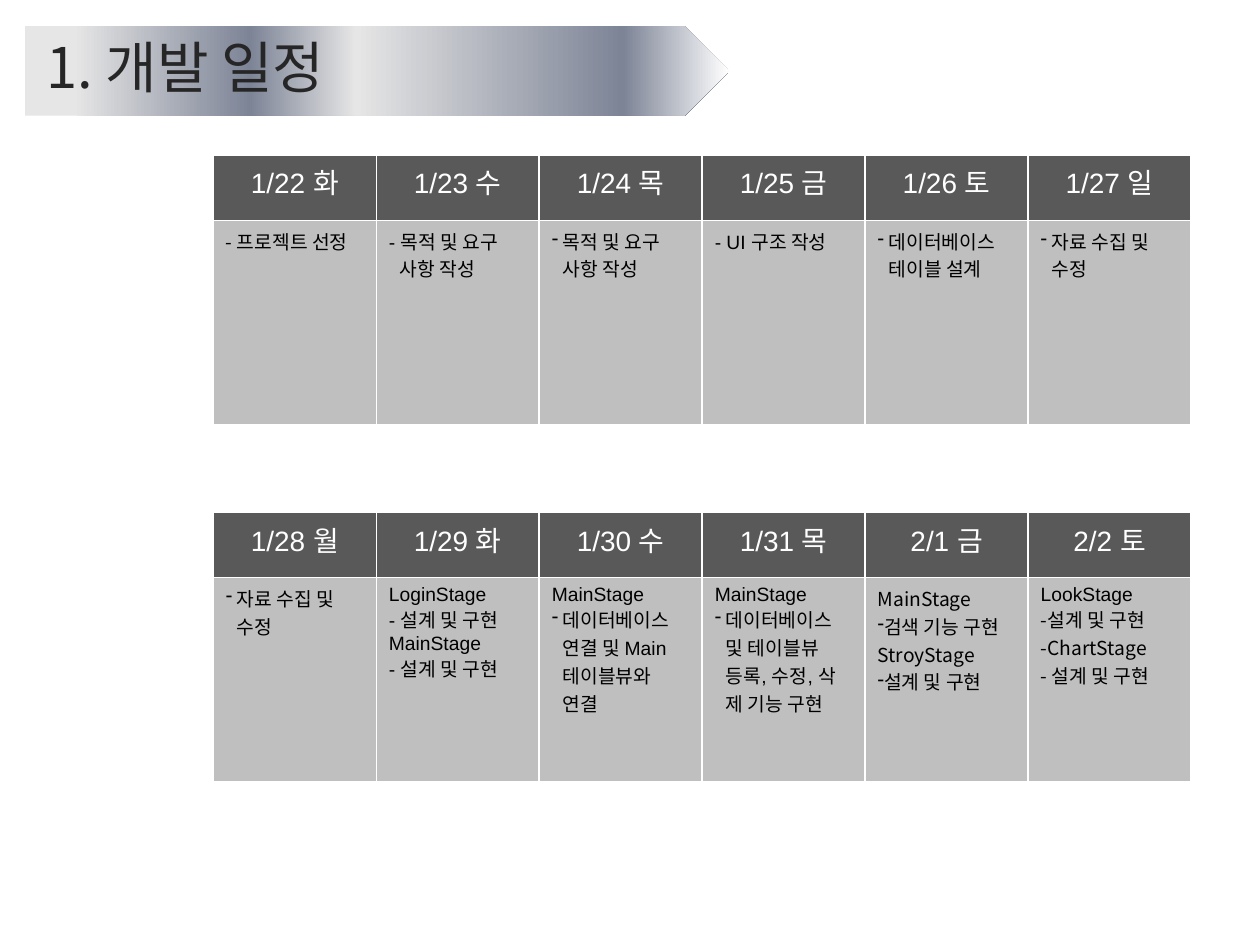
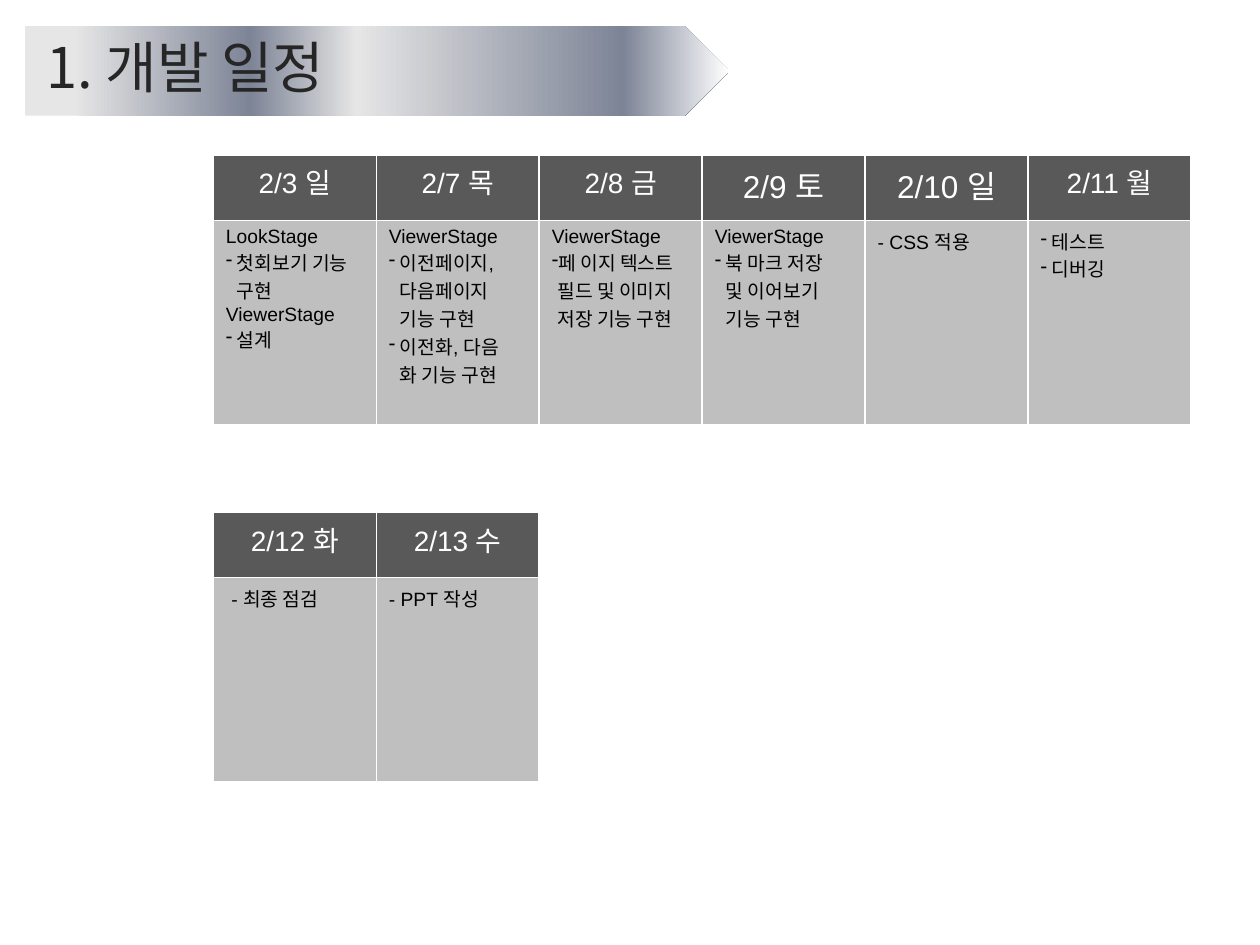
import pptx
import pptx.dml.color
import pptx.enum.shapes
import pptx.enum.text
import pptx.oxml
import pptx.oxml.ns
import pptx.util
from pptx.util import Cm

TITLE = "1. 개발 일정"
ARIAL, NOTO = "Arial", "Noto Sans CJK KR"

# A line is a text or (text, font); its first character may be a marker from MARKERS.
# Each slide holds weeks, each week a list of (date, lines).
SLIDES = [
    [
        [
            ("1/22 화", [("- 프로젝트 선정", NOTO)]),
            ("1/23 수", ["- 목적 및 요구", ">사항 작성"]),
            ("1/24 목", ["*목적 및 요구", ">사항 작성"]),
            ("1/25 금", ["- UI 구조 작성"]),
            ("1/26 토", ["*데이터베이스", ">테이블 설계"]),
            ("1/27 일", ["*자료 수집 및", ">수정"]),
        ],
        [
            ("1/28 월", ["*자료 수집 및", ">수정"]),
            ("1/29 화", ["LoginStage", "- 설계 및 구현", "MainStage", "- 설계 및 구현"]),
            ("1/30 수", ["MainStage", "*데이터베이스", ">연결 및 Main", ">테이블뷰와", ">연결"]),
            ("1/31 목", ["MainStage", "*데이터베이스", ">및 테이블뷰",
                        ">등록, 수정, 삭", ">제 기능 구현"]),
            ("2/1 금", [("MainStage", NOTO), ("+검색 기능 구현", NOTO),
                       ("StroyStage", NOTO), ("+설계 및 구현", NOTO)]),
            ("2/2 토", ["LookStage", ("-설계 및 구현", NOTO),
                       ("-ChartStage", NOTO), ("- 설계 및 구현", NOTO)]),
        ],
    ],
    [
        [
            ("2/3 일", ["LookStage", "*첫회보기 기능", ">구현", "ViewerStage", "*설계"]),
            ("2/7 목", ["ViewerStage", "*이전페이지,", ">다음페이지", ">기능 구현",
                       "*이전화, 다음", ">화 기능 구현"]),
            ("2/8 금", ["ViewerStage", "+페 이지 텍스트", "~필드 및 이미지", "~저장 기능 구현"]),
            ("2/9 토", ["ViewerStage", "*북 마크 저장", ">및 이어보기", ">기능 구현"]),
            ("2/10 일", ["- CSS 적용"]),
            ("2/11 월", ["*테스트", "*디버깅"]),
        ],
        [
            ("2/12 화", ["~- 최종 점검"]),
            ("2/13 수", ["- PPT 작성"]),
        ],
    ],
]
LARGE_DATES = {"2/9 토", "2/10 일"}

# marker: (left margin, first-line indent, has a dash bullet)
MARKERS = {
    "*": (Cm(0.22), -Cm(0.22), True),
    "+": (Cm(0.11), -Cm(0.11), True),
    ">": (0, Cm(0.22), False),
    "~": (0, Cm(0.11), False),
}
COLORS = {"title": "262626", "header": "595959", "body": "BFBFBF",
          "white": "FFFFFF", "black": "000000"}
BAND_STOPS = [(7, "E6E6E6"), (32, "7D8496"), (47, "E6E6E6"),
              (85, "7D8496"), (100, "FFFFFF"), (100, "E6E6E6")]

TABLE_LEFT, TABLE_TOP, WEEK_STEP = Cm(4.3), Cm(3.13), Cm(7.2)
COL_WIDTH = Cm(3.285)
ROW_HEIGHTS = [Cm(1.31), Cm(4.12)]


def rgb(name):
    return pptx.dml.color.RGBColor.from_string(COLORS[name])


def xml(tag, inner="", attrs=""):
    ns = pptx.oxml.ns.nsdecls("a")
    return pptx.oxml.parse_xml(f"<a:{tag} {ns} {attrs}>{inner}</a:{tag}>")


def add_run(p, text, color, font=ARIAL, **fmt):
    r = p.add_run()
    r.text = text
    for key, value in {"name": font, "bold": False, **fmt}.items():
        setattr(r.font, key, value)
    r.font.color.rgb = rgb(color)
    r.font._element.find(pptx.oxml.ns.qn("a:latin")).addnext(
        xml("ea", attrs=f'typeface="{NOTO}"'))


def add_title(s):
    band = s.shapes.add_shape(pptx.enum.shapes.MSO_SHAPE.PENTAGON,
                              Cm(0.5), Cm(0.53), Cm(14.2), Cm(1.8))
    band.shadow.inherit = False
    band.line.fill.background()
    stops = "".join(f'<a:gs pos="{pos * 1000}"><a:srgbClr val="{color}"/></a:gs>'
                    for pos, color in BAND_STOPS)
    band._element.spPr.find(pptx.oxml.ns.qn("a:prstGeom")).addnext(
        xml("gradFill", f'<a:gsLst>{stops}</a:gsLst><a:lin ang="0" scaled="0"/>'))

    box = s.shapes.add_textbox(Cm(0.69), Cm(0.53), Cm(6.83), Cm(1.63))
    tf = box.text_frame
    tf.word_wrap = False
    tf.auto_size = pptx.enum.text.MSO_AUTO_SIZE.SHAPE_TO_FIT_TEXT
    add_run(tf.paragraphs[0], TITLE, "title", NOTO, size=pptx.util.Pt(32))


def style_cell(cell, fill):
    cell.fill.solid()
    cell.fill.fore_color.rgb = rgb(fill)
    line = f'<a:solidFill><a:srgbClr val="{COLORS["white"]}"/></a:solidFill>'
    for i, side in enumerate("LRTB"):
        cell._tc.get_or_add_tcPr().insert(i, xml(f"ln{side}", line, 'w="12700"'))


def fill_lines(tf, lines):
    for i, line in enumerate(lines):
        text, font = (line, ARIAL) if isinstance(line, str) else line
        p = tf.add_paragraph() if i else tf.paragraphs[0]
        if text[0] in MARKERS:
            margin, indent, bullet = MARKERS[text[0]]
            text = text[1:]
            pPr = p._p.get_or_add_pPr()
            pPr.set("marL", str(int(margin)))
            pPr.set("indent", str(int(indent)))
            if bullet:
                pPr.append(xml("buChar", attrs='char="-"'))
        add_run(p, text, "black", font, size=pptx.util.Pt(11))


def add_week(s, days, top):
    table = s.shapes.add_table(2, len(days), TABLE_LEFT, top,
                               COL_WIDTH * len(days), sum(ROW_HEIGHTS)).table
    for row, height in zip(table.rows, ROW_HEIGHTS):
        row.height = height
    for col, (date, lines) in enumerate(days):
        table.columns[col].width = COL_WIDTH
        header, body = table.cell(0, col), table.cell(1, col)
        style_cell(header, "header")
        style_cell(body, "body")
        p = header.text_frame.paragraphs[0]
        p.alignment = pptx.enum.text.PP_ALIGN.CENTER
        add_run(p, date, "white", size=pptx.util.Pt(18 if date in LARGE_DATES else 16))
        fill_lines(body.text_frame, lines)


def main():
    prs = pptx.Presentation()
    prs.slide_width, prs.slide_height = Cm(25.4), Cm(19.05)
    for weeks in SLIDES:
        s = prs.slides.add_slide(prs.slide_layouts[6])
        add_title(s)
        for i, days in enumerate(weeks):
            add_week(s, days, TABLE_TOP + i * WEEK_STEP)
    prs.save("out.pptx")


if __name__ == "__main__":
    main()
